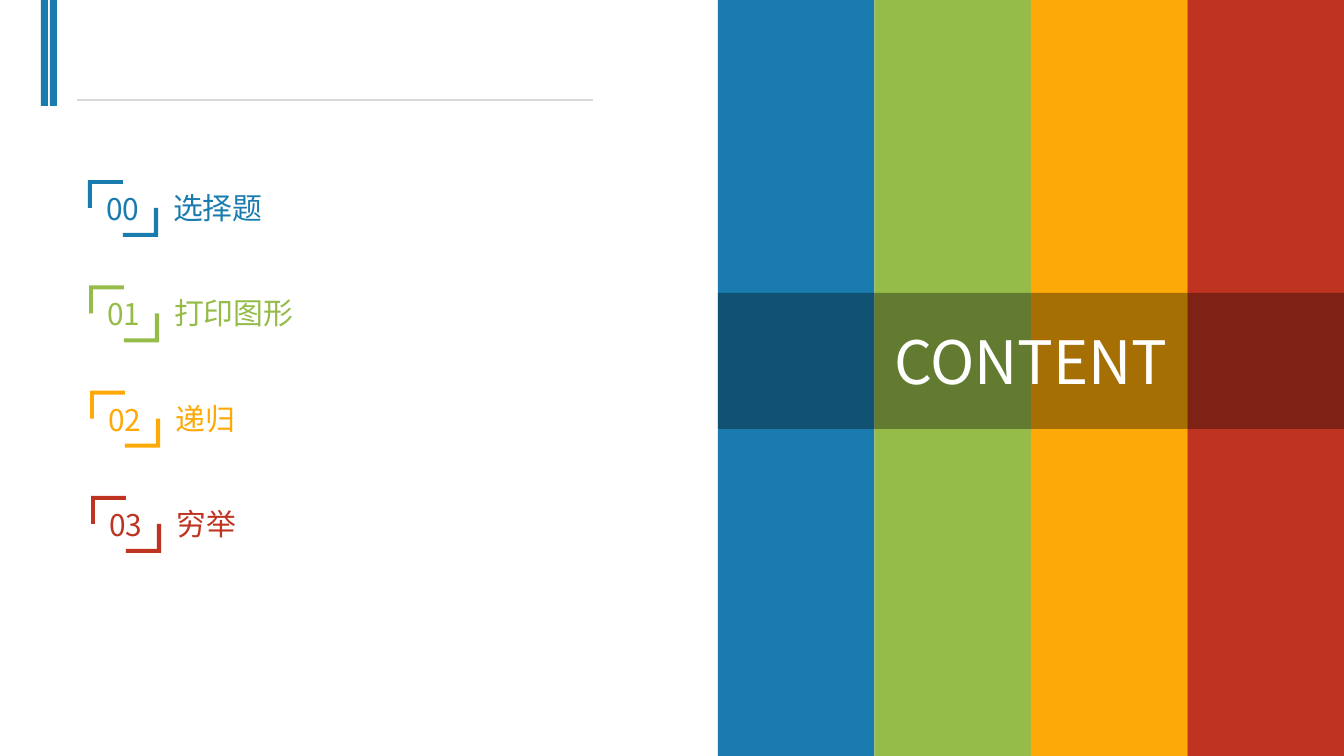
import pptx
import pptx.dml.color
import pptx.enum.shapes
import pptx.enum.text
import pptx.oxml.ns
import pptx.util
import lxml.etree

PX = 914400 / 134.4
FONT = "Noto Sans CJK SC"
BLUE, GREEN, ORANGE, RED = PALETTE = ["1A7BAE", "95BC49", "FDA907", "BF3420"]
TOPICS = ["选择题", "打印图形", "递归", "穷举"]


def px(length):
    return pptx.util.Emu(round(length * PX))


def add_child(parent, tag, **attributes):
    return lxml.etree.SubElement(parent, pptx.oxml.ns.qn(tag), attributes)


def set_color(color_format, color):
    color_format.rgb = pptx.dml.color.RGBColor.from_string(color)


def paint(shape, color, alpha=None):
    shape.shadow.inherit = False
    shape.line.fill.background()
    shape.fill.solid()
    set_color(shape.fill.fore_color, color)
    if alpha is not None:
        fill_color = shape.fill._xPr.find(".//" + pptx.oxml.ns.qn("a:srgbClr"))
        add_child(fill_color, "a:alpha", val=str(alpha * 1000))


def add_rectangle(page, left, top, width, height, color, alpha=None):
    kind = pptx.enum.shapes.MSO_SHAPE.RECTANGLE
    shape = page.shapes.add_shape(kind, px(left), px(top), px(width), px(height))
    paint(shape, color, alpha)
    return shape


def write_text(shape, text, size=16, color="FFFFFF", align="CENTER", anchor="MIDDLE"):
    frame = shape.text_frame
    frame.word_wrap = True
    frame.vertical_anchor = pptx.enum.text.MSO_ANCHOR[anchor]
    para = frame.paragraphs[0]
    para.alignment = pptx.enum.text.PP_ALIGN[align]
    span = para.add_run()
    span.text = text
    span.font.size = pptx.util.Pt(size)
    span.font.name = FONT
    set_color(span.font.color, color)
    add_child(span.font._element, "a:ea", typeface=FONT)


def add_header(page, left, top, width, height):
    for offset in (0, 9):
        add_rectangle(page, left + offset, top, 7, height, BLUE)
    rule_top = px(top + height - 6)
    rule = page.shapes.add_connector(
        pptx.enum.shapes.MSO_CONNECTOR.STRAIGHT,
        px(left + 36), rule_top, px(left + width), rule_top)
    rule.line.width = pptx.util.Pt(0.75)
    set_color(rule.line.color, "D9D9D9")
    add_child(rule._element.spPr, "a:effectLst")


def add_brackets(page, left, top, width, height, color):
    middle, center, thick = width / 2, height / 2, 4
    upper = [(0, 0), (middle, 0), (middle, thick), (thick, thick),
             (thick, center), (0, center)]
    lower = [(width - x, height - y) for x, y in upper]
    builder = page.shapes.build_freeform(*upper[0], scale=PX)
    builder.add_line_segments(upper[1:], close=True)
    builder.move_to(*lower[0])
    builder.add_line_segments(lower[1:], close=True)
    shape = builder.convert_to_shape(px(left), px(top))
    paint(shape, color)
    return shape


def add_topic(page, left, top, width, height, number, topic, color):
    brackets = add_brackets(page, left, top, 70, height, color)
    write_text(brackets, number, color=color)
    label = page.shapes.add_textbox(px(left + 72), px(top + 3), px(width - 72), px(50))
    write_text(label, topic, color=color, align="LEFT", anchor="TOP")
    label.text_frame.auto_size = pptx.enum.text.MSO_AUTO_SIZE.SHAPE_TO_FIT_TEXT


def add_topics(page, left, top, width, height):
    row_height = 57
    step = (height - row_height) / (len(TOPICS) - 1)
    for index, (topic, color) in enumerate(zip(TOPICS, PALETTE)):
        add_topic(page, left + index, top + index * step, width, row_height,
                  f"{index:02}", topic, color)


def add_title_panel(page, left, top, width, height):
    strip = width / len(PALETTE)
    for index, color in enumerate(PALETTE):
        add_rectangle(page, left + index * strip, top, strip, height, color)
    band = add_rectangle(page, left, top + 293, width, 136, "000000", alpha=34)
    write_text(band, "CONTENT", size=32)


def main():
    deck = pptx.Presentation()
    deck.slide_width, deck.slide_height = px(1344), px(756)
    page = deck.slides.add_slide(deck.slide_layouts[6])
    add_header(page, 41, 0, 552, 106)
    add_topics(page, 88, 180, 607, 373)
    add_title_panel(page, 718, 0, 626, 756)
    deck.save("out.pptx")


if __name__ == "__main__":
    main()
